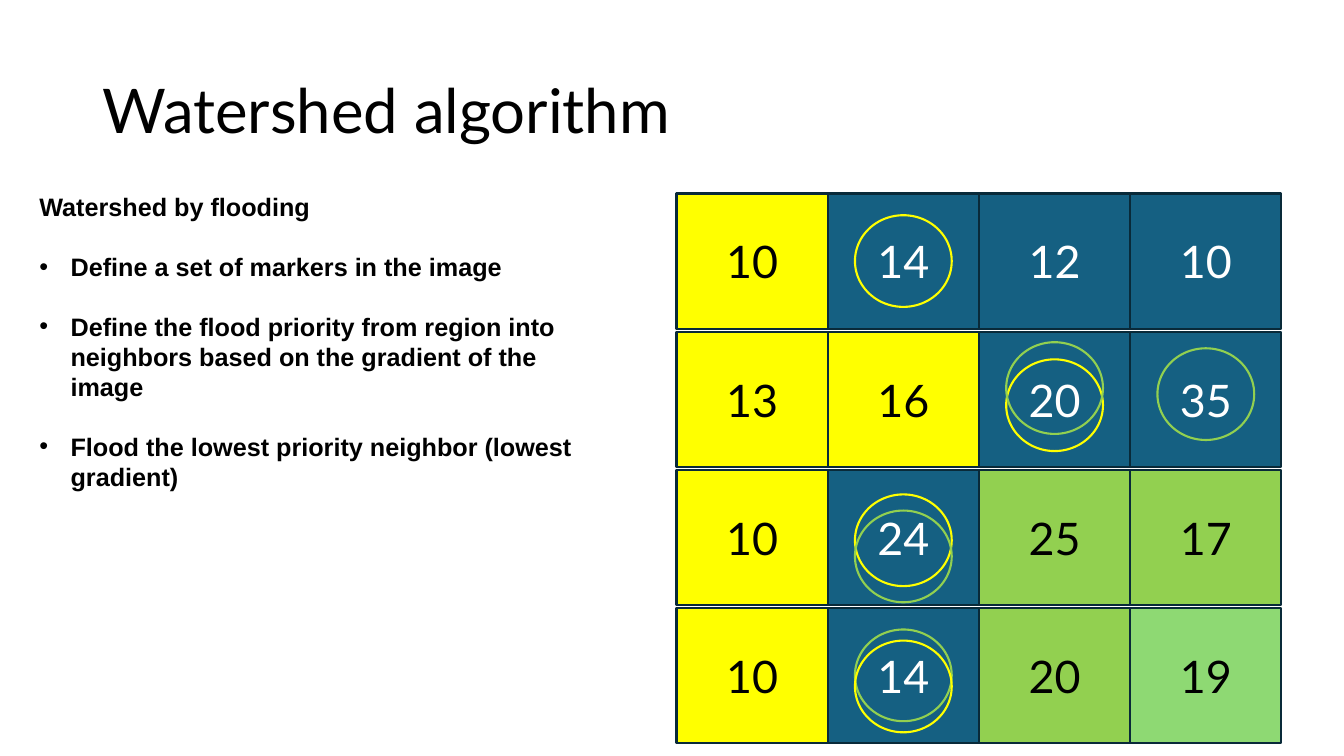
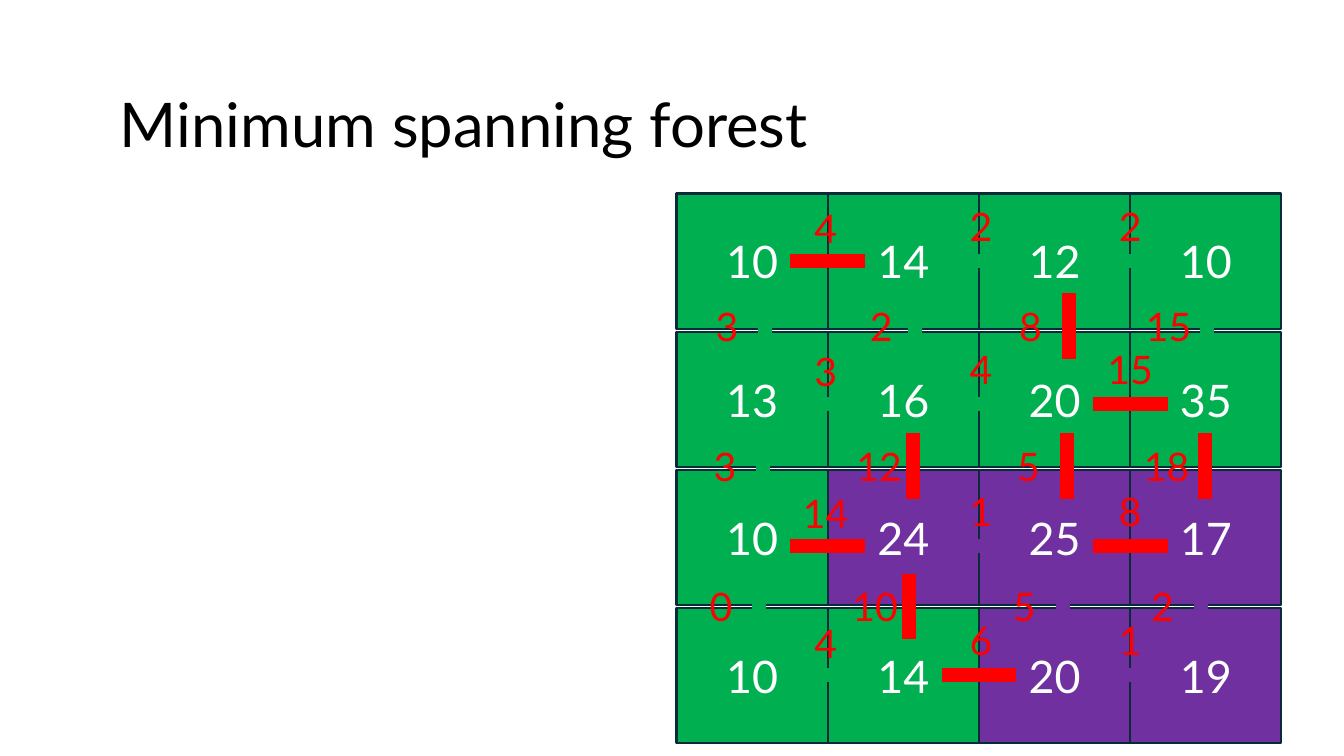
from dataclasses import dataclass
from itertools import product

from lxml.etree import SubElement
from pptx import Presentation
from pptx.dml.color import RGBColor
from pptx.enum.shapes import MSO_CONNECTOR, MSO_SHAPE
from pptx.enum.text import MSO_ANCHOR, MSO_AUTO_SIZE, PP_ALIGN
from pptx.oxml.ns import qn
from pptx.shapes.autoshape import Shape
from pptx.slide import Slide
from pptx.text.text import _Paragraph as Paragraph
from pptx.util import Inches, Pt

TITLE_FONT, BODY_FONT = "Lato", "Arial"
BLACK, WHITE, RED = "000000", "FFFFFF", "FF0000"
YELLOW, BLUE, LIME, MINT = "FFFF00", "156082", "92D050", "8ED973"
GREEN, PURPLE, BORDER = "00B050", "7030A0", "092A39"

# Grid of pixels, in inches
GRID_LEFT, GRID_TOP = 6.71, 1.92
COLUMN_STEP, ROW_STEP = 1.5, 1.37
CELL_WIDTH, CELL_HEIGHT = 1.5, 1.34
CIRCLE_WIDTH, CIRCLE_HEIGHT = 0.96, 0.91
LABEL_WIDTH, LABEL_HEIGHT = 0.76, 0.57

PIXELS = [
    [10, 14, 12, 10],
    [13, 16, 20, 35],
    [10, 24, 25, 17],
    [10, 14, 20, 19],
]
FLOODED = [
    [YELLOW, BLUE, BLUE, BLUE],
    [YELLOW, YELLOW, BLUE, BLUE],
    [YELLOW, BLUE, LIME, LIME],
    [YELLOW, BLUE, LIME, MINT],
]
FOREST = [
    [GREEN, GREEN, GREEN, GREEN],
    [GREEN, GREEN, GREEN, GREEN],
    [GREEN, PURPLE, PURPLE, PURPLE],
    [GREEN, GREEN, PURPLE, PURPLE],
]

HEADING = "Watershed by flooding"
STEPS = [
    "Define a set of markers in the image",
    "Define the flood priority from region into neighbors based on the gradient of the image",
    "Flood the lowest priority neighbor (lowest gradient)",
]


@dataclass(frozen=True)
class Circle:
    """A ring round a cell's number, moved down by drop inches."""
    column: int
    row: int
    color: str
    drop: float = 0


@dataclass(frozen=True)
class Edge:
    """The weight between two neighboring cells; a cut edge is red."""
    weight: int
    cut: bool = False


CIRCLES = [
    Circle(1, 0, YELLOW),
    Circle(3, 1, LIME, -0.05),
    Circle(1, 3, LIME),
    Circle(2, 1, YELLOW, 0.06),
    Circle(1, 2, YELLOW, 0.03),
    Circle(1, 3, YELLOW, 0.11),
    Circle(2, 1, LIME, -0.11),
    Circle(1, 2, LIME, 0.19),
]
ACROSS = [
    [Edge(4, True), Edge(2), Edge(2)],
    [Edge(3), Edge(4), Edge(15, True)],
    [Edge(14, True), Edge(1), Edge(8, True)],
    [Edge(4), Edge(6, True), Edge(1)],
]
DOWN = [
    [Edge(3), Edge(2), Edge(8, True), Edge(15)],
    [Edge(3), Edge(12, True), Edge(5, True), Edge(18, True)],
    [Edge(0), Edge(10, True), Edge(5), Edge(2)],
]

# Edge places: lines and labels by column, lines by row
ACROSS_LEFT, ACROSS_LENGTH = 7.84, 0.74
ACROSS_Y = [2.59, 4.01, 5.42, 6.7]
ACROSS_LABEL_X = [7.81, 9.35, 10.83]
ACROSS_LABEL_RISE = [0.61, 0.63, 0.63]
DOWN_X = [7.59, 9.08, 10.6, 11.97]
DOWN_LABEL_X = [6.83, 8.36, 9.84, 11.21]
DOWN_ROW_SHIFT = [0, -0.02, -0.06]
DOWN_TOP, DOWN_STEP, DOWN_LENGTH = 2.91, 1.39, 0.65


def rgb(color: str) -> RGBColor:
    return RGBColor.from_string(color)


def style_text(paragraph: Paragraph, font: str, size: float, color: str, bold: bool = False) -> None:
    paragraph.font.name = font
    paragraph.font.size = Pt(size)
    paragraph.font.bold = bold
    paragraph.font.color.rgb = rgb(color)


def place(shape: Shape, left: float, top: float, width: float, height: float) -> None:
    shape.left, shape.top = Inches(left), Inches(top)
    shape.width, shape.height = Inches(width), Inches(height)


def set_title(slide: Slide, text: str, left: float, top: float) -> None:
    title = slide.shapes.title
    place(title, left, top, 11.5, 1.45)
    frame = title.text_frame
    frame.text = text
    frame.auto_size = MSO_AUTO_SIZE.NONE
    frame.vertical_anchor = MSO_ANCHOR.MIDDLE
    paragraph = frame.paragraphs[0]
    paragraph.alignment = PP_ALIGN.LEFT
    paragraph.line_spacing = 0.9
    style_text(paragraph, TITLE_FONT, 44, BLACK)


def set_bullet(paragraph: Paragraph, bullet: str) -> None:
    """Give the paragraph a hanging bullet, or none if bullet is empty."""
    properties = paragraph._p.get_or_add_pPr()
    indent = Inches(0.31) if bullet else 0
    properties.set("marL", str(indent))
    properties.set("indent", str(-indent))
    if bullet:
        SubElement(properties, qn("a:buFont"), typeface=BODY_FONT)
        SubElement(properties, qn("a:buChar"), char=bullet)
    else:
        SubElement(properties, qn("a:buNone"))


def set_body(slide: Slide, heading: str, steps: list[str]) -> None:
    body = slide.placeholders[1]
    place(body, 0.29, 1.85, 5.52, 4.34)
    frame = body.text_frame
    frame.text = "\n".join([heading, *steps])
    frame.auto_size = MSO_AUTO_SIZE.NONE
    for index, paragraph in enumerate(frame.paragraphs):
        set_bullet(paragraph, "•" if index else "")
        paragraph.space_before = Pt(21 if index else 0)
        style_text(paragraph, BODY_FONT, 18, BLACK, bold=True)


def add_outlined(slide: Slide, kind: MSO_SHAPE, left: float, top: float,
                 width: float, height: float, line: str) -> Shape:
    shape = slide.shapes.add_shape(kind, Inches(left), Inches(top), Inches(width), Inches(height))
    shape.shadow.inherit = False
    shape.line.color.rgb = rgb(line)
    shape.line.width = Pt(1.5)
    return shape


def cell_corner(column: int, row: int) -> tuple[float, float]:
    return GRID_LEFT + column * COLUMN_STEP, GRID_TOP + row * ROW_STEP


def add_pixel_grid(slide: Slide, fills: list[list[str]]) -> None:
    for row, column in product(range(4), range(4)):
        fill = fills[row][column]
        cell = add_outlined(slide, MSO_SHAPE.RECTANGLE, *cell_corner(column, row),
                            CELL_WIDTH, CELL_HEIGHT, BORDER)
        cell.fill.solid()
        cell.fill.fore_color.rgb = rgb(fill)
        cell.text_frame.text = str(PIXELS[row][column])
        cell.text_frame.vertical_anchor = MSO_ANCHOR.MIDDLE
        paragraph = cell.text_frame.paragraphs[0]
        paragraph.alignment = PP_ALIGN.CENTER
        style_text(paragraph, TITLE_FONT, 32, BLACK if fill in (YELLOW, LIME, MINT) else WHITE)


def add_circle(slide: Slide, circle: Circle) -> None:
    left, top = cell_corner(circle.column, circle.row)
    left += (CELL_WIDTH - CIRCLE_WIDTH) / 2
    top += (CELL_HEIGHT - CIRCLE_HEIGHT) / 2 + circle.drop
    ring = add_outlined(slide, MSO_SHAPE.OVAL, left, top, CIRCLE_WIDTH, CIRCLE_HEIGHT, circle.color)
    ring.fill.background()


def add_edge(slide: Slide, edge: Edge, region: str, start: tuple[float, float],
             end: tuple[float, float], label_corner: tuple[float, float]) -> None:
    """Draw a thick bar with its weight; an uncut edge takes its region's color."""
    bar = slide.shapes.add_connector(MSO_CONNECTOR.STRAIGHT, *map(Inches, start + end))
    bar.line.color.rgb = rgb(RED if edge.cut else region)
    bar.line.width = Pt(10)
    SubElement(bar._element.spPr, qn("a:effectLst"))

    label = slide.shapes.add_textbox(*map(Inches, label_corner + (LABEL_WIDTH, LABEL_HEIGHT)))
    label.text_frame.word_wrap = True
    label.text_frame.text = str(edge.weight)
    paragraph = label.text_frame.paragraphs[0]
    paragraph.alignment = PP_ALIGN.CENTER
    style_text(paragraph, TITLE_FONT, 28, RED)


def add_forest_edges(slide: Slide) -> None:
    for row, column in product(range(4), range(3)):
        left, y = ACROSS_LEFT + column * COLUMN_STEP, ACROSS_Y[row]
        label_corner = (ACROSS_LABEL_X[column], y - ACROSS_LABEL_RISE[column])
        add_edge(slide, ACROSS[row][column], FOREST[row][column],
                 (left, y), (left + ACROSS_LENGTH, y), label_corner)
    for row, column in product(range(3), range(4)):
        shift = DOWN_ROW_SHIFT[row]
        x, top = DOWN_X[column] + shift, DOWN_TOP + row * DOWN_STEP
        label_corner = (DOWN_LABEL_X[column] + shift, top + 0.04)
        add_edge(slide, DOWN[row][column], FOREST[row][column],
                 (x, top + DOWN_LENGTH), (x, top), label_corner)


def add_watershed_slide(presentation: Presentation) -> None:
    slide = presentation.slides.add_slide(presentation.slide_layouts[1])
    set_title(slide, "Watershed algorithm", 0.92, 0.4)
    set_body(slide, HEADING, STEPS)
    add_pixel_grid(slide, FLOODED)
    for circle in CIRCLES:
        add_circle(slide, circle)


def add_forest_slide(presentation: Presentation) -> None:
    slide = presentation.slides.add_slide(presentation.slide_layouts[5])
    set_title(slide, "Minimum spanning forest", 1.09, 0.54)
    add_pixel_grid(slide, FOREST)
    add_forest_edges(slide)


def main() -> None:
    presentation = Presentation()
    presentation.slide_width, presentation.slide_height = Inches(13.33), Inches(7.5)
    add_watershed_slide(presentation)
    add_forest_slide(presentation)
    presentation.save("out.pptx")


if __name__ == "__main__":
    main()
